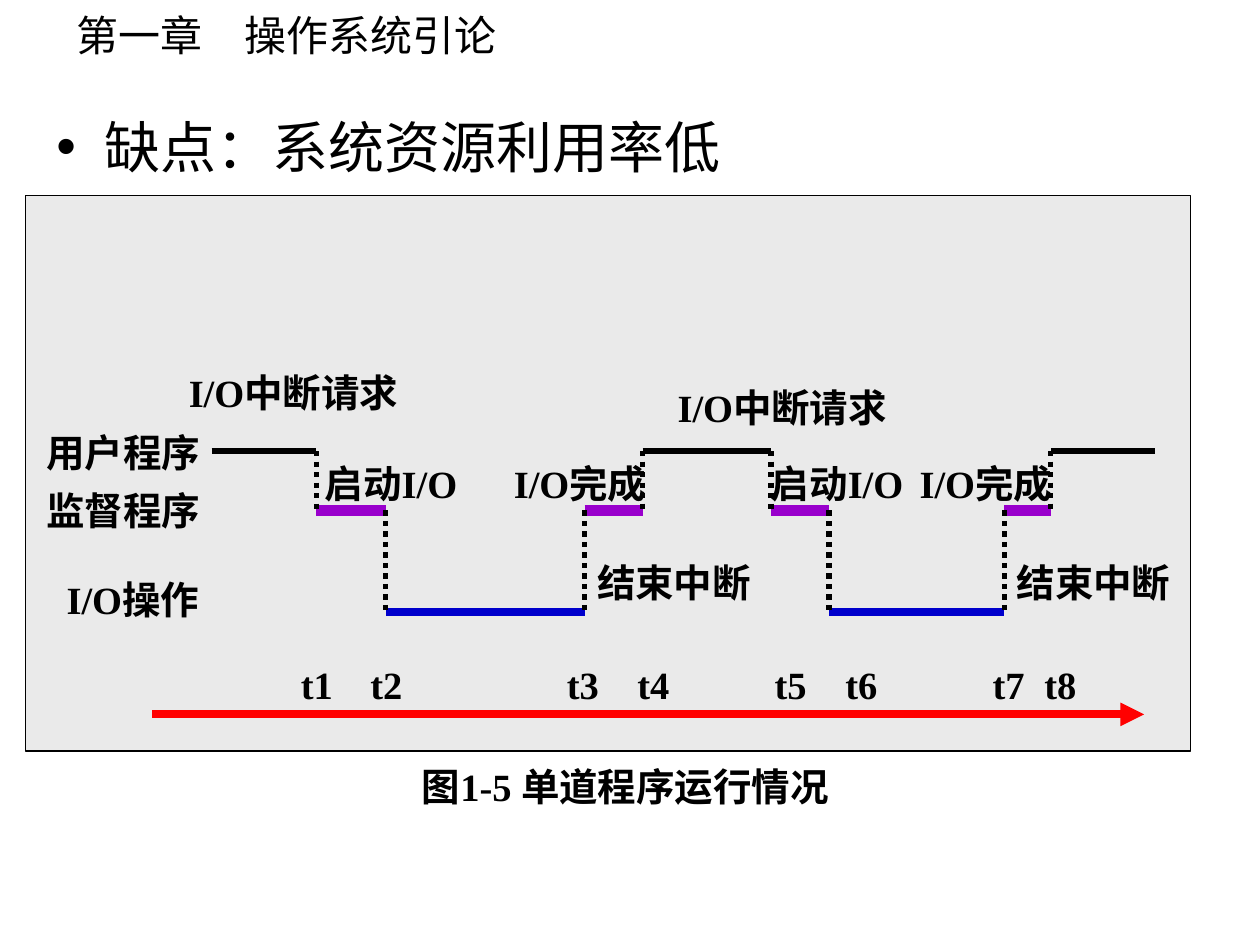
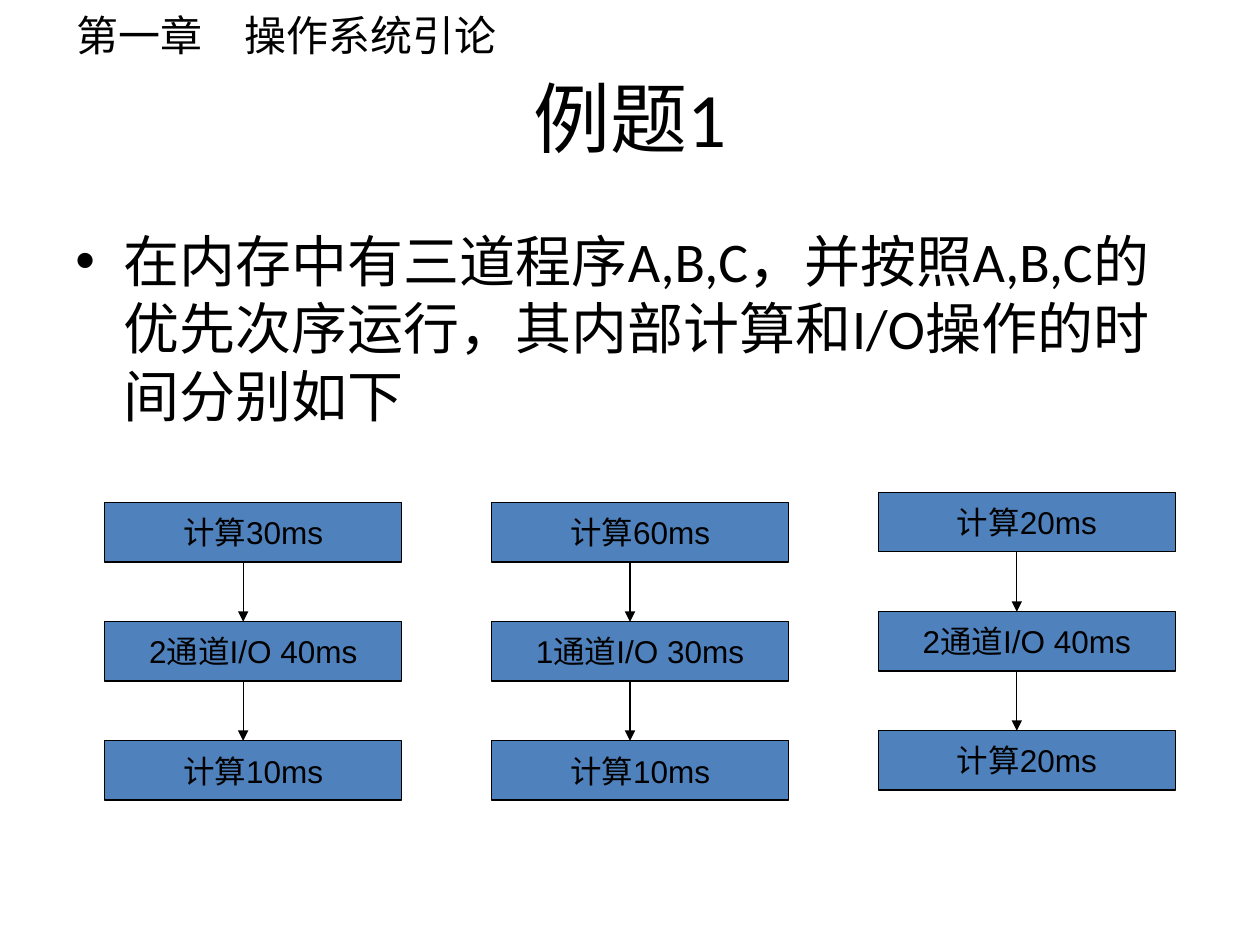
from dataclasses import dataclass

from lxml import etree
from pptx import Presentation
from pptx.dml.color import RGBColor
from pptx.enum.dml import MSO_LINE
from pptx.enum.shapes import MSO_CONNECTOR, MSO_SHAPE
from pptx.enum.text import MSO_ANCHOR, PP_ALIGN
from pptx.oxml.ns import qn
from pptx.util import Inches, Pt

STRAIGHT, RECTANGLE = MSO_CONNECTOR.STRAIGHT, MSO_SHAPE.RECTANGLE
DOTTED = MSO_LINE.ROUND_DOT
TOP, MIDDLE = MSO_ANCHOR.TOP, MSO_ANCHOR.MIDDLE
LEFT, CENTER = PP_ALIGN.LEFT, PP_ALIGN.CENTER


@dataclass(frozen=True)
class Theme:
    ink: str = "000000"
    panel: str = "EAEAEA"
    step: str = "4F81BD"
    supervisor: str = "9900CC"
    device: str = "0000CC"
    clock: str = "FF0000"
    chinese: str = "Noto Sans CJK SC"
    hairline: float = 0.75


THEME = Theme()
STYLES = {
    "header": {"size": Pt(24), "name": THEME.chinese, "bold": False},
    "title": {"size": Pt(44), "name": "Calibri", "bold": False},
    "body": {"size": Pt(32), "name": "Calibri", "bold": False},
    "label": {"size": Pt(22), "name": "Times New Roman", "bold": True},
    "step": {"size": Pt(18), "name": "Arial", "bold": False},
}

SLIDE_COLUMNS, SLIDE_ROWS = 10, 7.5
CELL = Inches(1)

HEADER = "第一章　操作系统引论"
DRAWBACK = "缺点：系统资源利用率低"
EXAMPLE_TITLE = "例题1"
EXAMPLE_TEXT = "在内存中有三道程序A,B,C，并按照A,B,C的优先次序运行，其内部计算和I/O操作的时间分别如下"

LABEL_HEIGHT = 0.47
TIMELINE_LABELS = [
    ("用户程序", 0.27, 3.36, 1.63),
    ("监督程序", 0.27, 3.82, 1.55),
    ("I/O操作", 0.43, 4.52, 1.39),
    ("图1-5 单道程序运行情况", 3.25, 6.01, 3.96),
    ("I/O中断请求", 1.4, 2.88, 1.94),
    ("I/O中断请求", 5.28, 3, 1.94),
    ("启动I/O", 2.48, 3.6, 1.48),
    ("I/O完成", 3.98, 3.6, 1.48),
    ("启动I/O", 6.02, 3.6, 1.48),
    ("I/O完成", 7.2, 3.6, 1.48),
    ("结束中断", 4.64, 4.39, 1.48),
    ("结束中断", 7.97, 4.39, 1.48),
]
LANES = {
    "user": (3.58, THEME.ink, 3),
    "supervisor": (4.05, THEME.supervisor, 6),
    "device": (4.86, THEME.device, 4.5),
}
CYCLE = ["user", "supervisor", "device", "supervisor"]
ACTIVITY = CYCLE * 2 + ["user"]
SWITCH_TIMES = [2.51, 3.06, 4.64, 5.1, 6.12, 6.58, 7.97, 8.34]
ACTIVITY_EDGES = [1.68, *SWITCH_TIMES, 9.17]
TIME_TABS = [0.15, 0.7, 2.26, 2.82, 3.91, 4.47, 5.64, 6.05]

PROGRAMS = [
    (3.99, ["计算30ms", "2通道I/O 40ms", "计算10ms"]),
    (3.99, ["计算60ms", "1通道I/O 30ms", "计算10ms"]),
    (3.91, ["计算20ms", "2通道I/O 40ms", "计算20ms"]),
]
PROGRAM_LEFT, PROGRAM_PITCH = 0.83, 3.07
STEP_WIDTH, STEP_HEIGHT, STEP_PITCH = 2.36, 0.47, 0.945
ARROW_OFFSET = 1.1


def grid(*lengths):
    return [round(length * CELL) for length in lengths]


def color(value):
    return RGBColor.from_string(value)


def write(box, text, style, align=LEFT, anchor=TOP, wrap=True, bullet=False, tabs=()):
    frame = box.text_frame
    frame.word_wrap = wrap
    frame.vertical_anchor = anchor
    para = frame.paragraphs[0]
    para.alignment = align
    properties = para._p.get_or_add_pPr()
    if bullet:
        indent = Inches(0.38)
        properties.set("marL", str(indent))
        properties.set("indent", str(-indent))
        etree.SubElement(properties, qn("a:buFont"), typeface="Arial")
        etree.SubElement(properties, qn("a:buChar"), char="•")
    if tabs:
        stops = etree.SubElement(properties, qn("a:tabLst"))
        for stop in tabs:
            etree.SubElement(stops, qn("a:tab"), pos=str(Inches(stop)), algn="l")
    span = para.add_run()
    span.text = text
    for attribute, value in STYLES[style].items():
        setattr(span.font, attribute, value)
    span.font.color.rgb = color(THEME.ink)
    etree.SubElement(span.font._element, qn("a:ea"), typeface=THEME.chinese)


def add_text(page, place, text, style, **layout):
    write(page.shapes.add_textbox(*grid(*place)), text, style, **layout)


def add_rectangle(page, place, fill):
    box = page.shapes.add_shape(RECTANGLE, *grid(*place))
    box.shadow.inherit = False
    box.fill.solid()
    box.fill.fore_color.rgb = color(fill)
    box.line.color.rgb = color(THEME.ink)
    box.line.width = Pt(THEME.hairline)
    return box


def add_line(page, start, end, ink=THEME.ink, width=THEME.hairline, dash=None, arrow=False):
    connector = page.shapes.add_connector(STRAIGHT, *grid(*start, *end))
    connector.line.color.rgb = color(ink)
    connector.line.width = Pt(width)
    if dash:
        connector.line.dash_style = dash
    if arrow:
        etree.SubElement(connector.line._get_or_add_ln(), qn("a:tailEnd"), type="triangle")
    etree.SubElement(connector._element.spPr, qn("a:effectLst"))


def add_page(deck):
    page = deck.slides.add_slide(deck.slide_layouts[6])
    add_text(page, (0.51, 0.03, 3.61, 0.5), HEADER, "header", wrap=False)
    return page


def build_timeline(deck):
    page = add_page(deck)
    add_rectangle(page, (0.2, 1.55, 9.25, 4.41), THEME.panel)
    add_text(page, (0.35, 0.84, 9.34, 0.68), DRAWBACK, "body", bullet=True)
    for lane, start, end in zip(ACTIVITY, ACTIVITY_EDGES, ACTIVITY_EDGES[1:]):
        row, ink, width = LANES[lane]
        add_line(page, (start, row), (end, row), ink, width)
    add_line(page, (1.21, 5.67), (9.08, 5.67), THEME.clock, 4.5, arrow=True)
    for time, before, after in zip(SWITCH_TIMES, ACTIVITY, ACTIVITY[1:]):
        upper, lower = sorted((LANES[before][0], LANES[after][0]))
        add_line(page, (time, upper), (time, lower), width=3, dash=DOTTED)
    times = "".join(f"\tt{number}" for number in range(1, len(SWITCH_TIMES) + 1))
    add_text(page, (2.14, 5.2, 7.59, LABEL_HEIGHT), times, "label", tabs=TIME_TABS)
    for text, left, top, width in TIMELINE_LABELS:
        add_text(page, (left, top, width, LABEL_HEIGHT), text, "label")


def build_example(deck):
    page = add_page(deck)
    add_text(page, (0.5, 0.3, 9, 1.25), EXAMPLE_TITLE, "title", align=CENTER, anchor=MIDDLE)
    add_text(page, (0.5, 1.75, 9, 4.95), EXAMPLE_TEXT, "body", bullet=True)
    for column, (first_top, steps) in enumerate(PROGRAMS):
        left = PROGRAM_LEFT + column * PROGRAM_PITCH
        arrow_x = left + ARROW_OFFSET
        for row, text in enumerate(steps):
            top = first_top + row * STEP_PITCH
            box = add_rectangle(page, (left, top, STEP_WIDTH, STEP_HEIGHT), THEME.step)
            write(box, text, "step", align=CENTER, anchor=MIDDLE, wrap=False)
            if row:
                previous_bottom = top - STEP_PITCH + STEP_HEIGHT
                add_line(page, (arrow_x, previous_bottom), (arrow_x, top), arrow=True)


def main():
    deck = Presentation()
    deck.slide_width, deck.slide_height = grid(SLIDE_COLUMNS, SLIDE_ROWS)
    build_timeline(deck)
    build_example(deck)
    deck.save("out.pptx")


if __name__ == "__main__":
    main()
